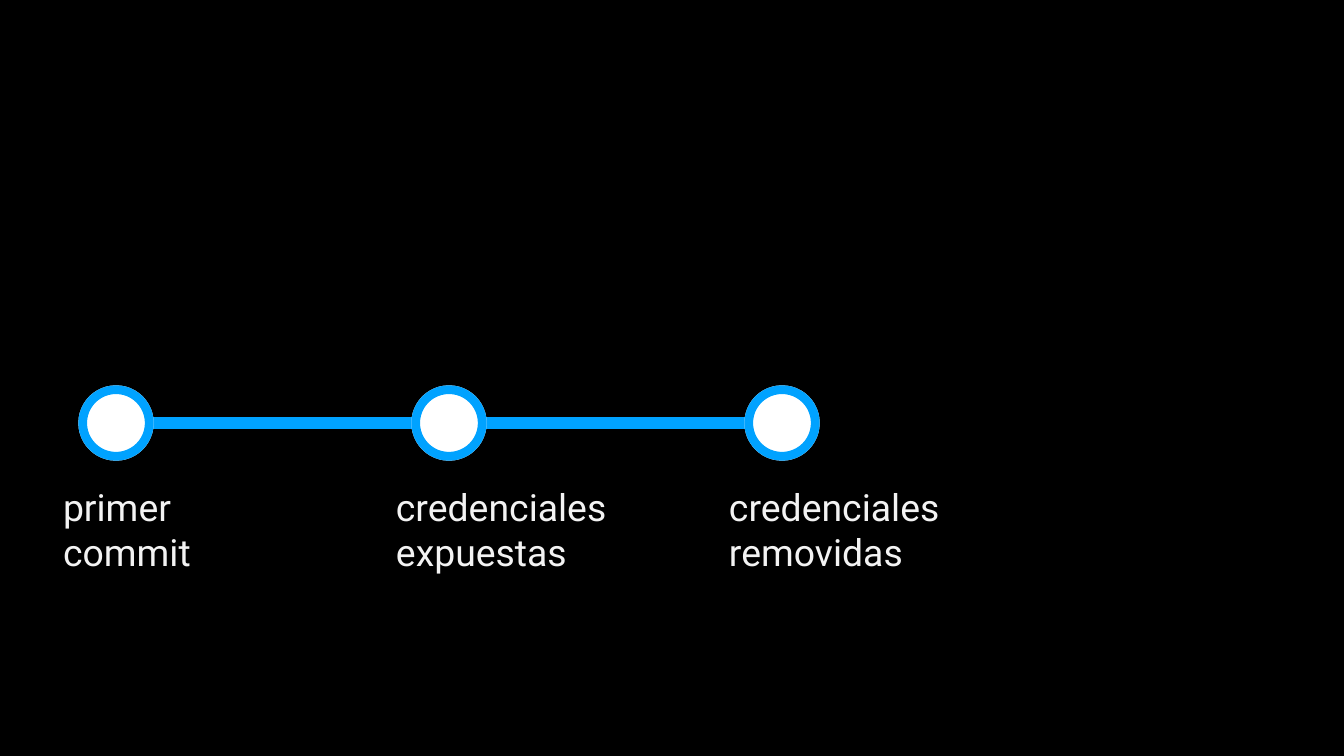
from pptx import Presentation
from pptx.dml.color import RGBColor
from pptx.enum.shapes import MSO_CONNECTOR, MSO_SHAPE
from pptx.enum.text import MSO_ANCHOR
from pptx.oxml.ns import qn
from pptx.util import Pt
from lxml import etree

PX = 914400 / 134.4
BLACK = RGBColor(0x00, 0x00, 0x00)
WHITE = RGBColor(0xFF, 0xFF, 0xFF)
BLUE = RGBColor(0x00, 0xA2, 0xFF)
LIGHT_GRAY = RGBColor(0xF3, 0xF3, 0xF3)
OVAL, DONUT = MSO_SHAPE.OVAL, MSO_SHAPE.DONUT
STRAIGHT = MSO_CONNECTOR.STRAIGHT
MIDDLE = MSO_ANCHOR.MIDDLE

MILESTONES = [
    (("primer", "commit"), 230),
    (("credenciales", "expuestas"), 247),
    (("credenciales", "removidas"), 247),
]
FIRST_LEFT, PITCH = 79, 333
MARKER_TOP, MARKER_SIZE = 386, 74
LINE_Y = MARKER_TOP + MARKER_SIZE // 2
LABEL_OFFSET, LABEL_TOP, LABEL_HEIGHT = -29, 470, 118


def px(value):
    return round(value * PX)


presentation = Presentation()
presentation.slide_width = px(1344)
presentation.slide_height = px(756)
slide = presentation.slides.add_slide(presentation.slide_layouts[6])
slide.background.fill.solid()
slide.background.fill.fore_color.rgb = BLACK

# Timeline, between the first and last markers
last_left = FIRST_LEFT + PITCH * (len(MILESTONES) - 1)
timeline = slide.shapes.add_connector(
    STRAIGHT, px(FIRST_LEFT + MARKER_SIZE), px(LINE_Y), px(last_left), px(LINE_Y)
)
timeline.line.color.rgb = BLUE
timeline.line.width = Pt(6)
etree.SubElement(timeline._element.spPr, qn("a:effectLst"))

for index, (words, label_width) in enumerate(MILESTONES):
    left = FIRST_LEFT + index * PITCH

    # Marker: white disc under a blue ring
    for kind, color in ((OVAL, WHITE), (DONUT, BLUE)):
        shape = slide.shapes.add_shape(
            kind, px(left), px(MARKER_TOP), px(MARKER_SIZE), px(MARKER_SIZE)
        )
        shape.shadow.inherit = False
        shape.fill.solid()
        shape.fill.fore_color.rgb = color
        shape.line.color.rgb = color
        shape.line.width = Pt(0.75)
        if kind == DONUT:
            shape.adjustments[0] = 0.1

    # Label
    label = slide.shapes.add_textbox(
        px(left + LABEL_OFFSET), px(LABEL_TOP), px(label_width), px(LABEL_HEIGHT)
    )
    frame = label.text_frame
    frame.word_wrap = True
    frame.vertical_anchor = MIDDLE
    frame.margin_left = frame.margin_right = px(13)
    frame.margin_top = frame.margin_bottom = px(13)
    for number, word in enumerate(words):
        paragraph = frame.add_paragraph() if number else frame.paragraphs[0]
        run = paragraph.add_run()
        run.text = word
        run.font.name = "Roboto"
        run.font.size = Pt(20)
        run.font.color.rgb = LIGHT_GRAY

presentation.save("out.pptx")
